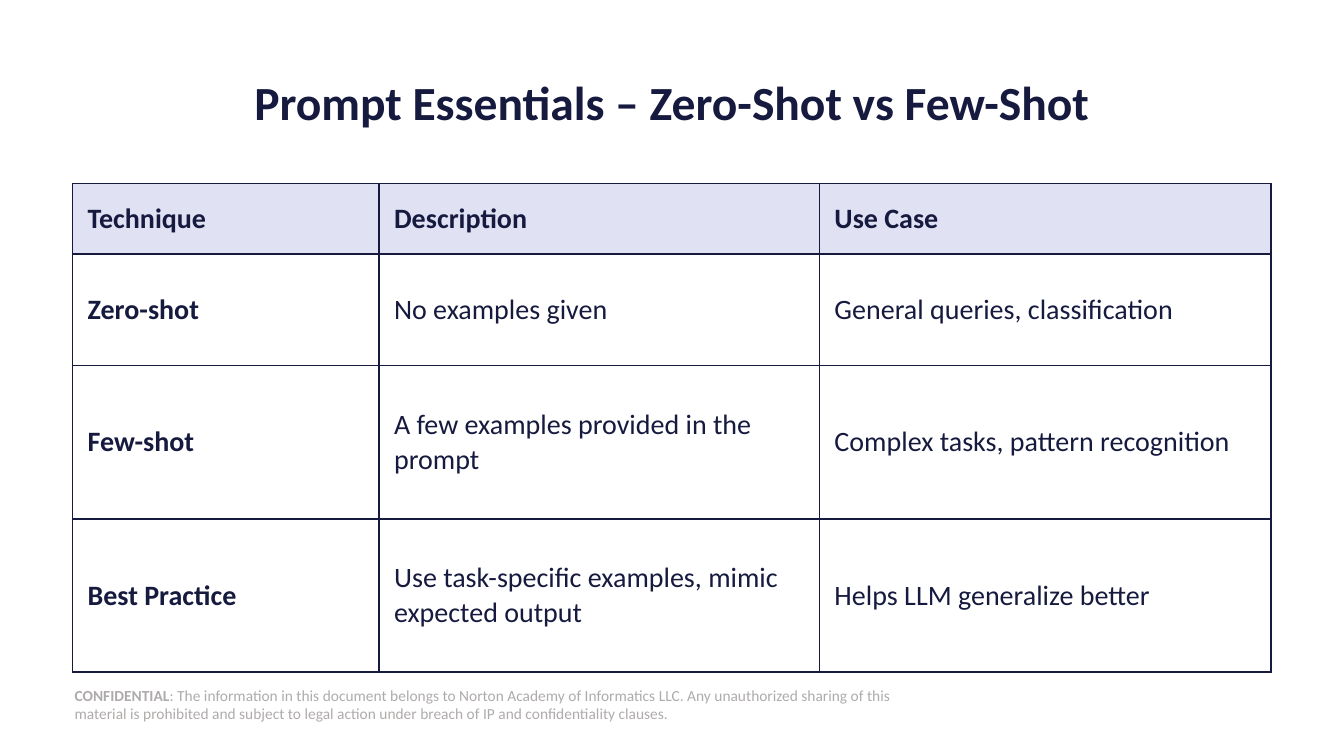
from lxml.etree import SubElement
from pptx import Presentation
from pptx.dml.color import RGBColor
from pptx.enum.shapes import MSO_SHAPE
from pptx.enum.text import MSO_ANCHOR, PP_ALIGN
from pptx.oxml.ns import qn
from pptx.util import Pt

NAVY = RGBColor(0x16, 0x1A, 0x3E)
LAVENDER = RGBColor(0xE0, 0xE2, 0xF4)
GREY = RGBColor(0xAF, 0xAB, 0xAB)
WHITE = RGBColor(0xFF, 0xFF, 0xFF)

COLUMN_WIDTHS = (218.9, 314.6, 322.6)
ROW_HEIGHTS = (50.4, 79.9, 109.4, 109.4)
TECHNIQUES = (
    ("Technique", "Description", "Use Case"),
    ("Zero-shot", "No examples given", "General queries, classification"),
    ("Few-shot", "A few examples provided in the prompt",
     "Complex tasks, pattern recognition"),
    ("Best Practice", "Use task-specific examples, mimic expected output",
     "Helps LLM generalize better"),
)
NOTICE = (
    ("CONFIDENTIAL", True),
    (": The information in this document belongs to Norton Academy of "
     "Informatics LLC. Any unauthorized sharing of this material is prohibited "
     "and subject to legal action under breach of IP and confidentiality "
     "clauses.", False),
)


def style_run(run, size, color, bold):
    """Give a run its font, size, colour and weight."""
    run.font.name = "Calibri"
    run.font.size = Pt(size)
    run.font.bold = bold
    run.font.color.rgb = color


def add_notice(slide, left, top, width, height):
    """Place the confidentiality notice in the given box."""
    notice = slide.shapes.add_shape(
        MSO_SHAPE.RECTANGLE, Pt(left), Pt(top), Pt(width), Pt(height))
    notice.shadow.inherit = False
    notice.fill.solid()
    notice.fill.fore_color.rgb = WHITE
    notice.line.fill.background()
    frame = notice.text_frame
    frame.word_wrap = True
    frame.vertical_anchor = MSO_ANCHOR.MIDDLE
    frame.margin_left = frame.margin_right = Pt(0)
    frame.margin_top = frame.margin_bottom = Pt(0)
    sentence = frame.paragraphs[0]
    sentence.alignment = PP_ALIGN.LEFT
    for words, bold in NOTICE:
        run = sentence.add_run()
        run.text = words
        style_run(run, 11, GREY, bold)


def add_title(slide, left, top, width, height):
    """Place the centred heading at the bottom of the given box."""
    title = slide.shapes.add_textbox(Pt(left), Pt(top), Pt(width), Pt(height))
    frame = title.text_frame
    frame.word_wrap = True
    frame.vertical_anchor = MSO_ANCHOR.BOTTOM
    heading = frame.paragraphs[0]
    heading.text = "Prompt Essentials – Zero-Shot vs Few-Shot"
    heading.alignment = PP_ALIGN.CENTER
    heading.line_spacing = 0.9
    style_run(heading.runs[0], 34, NAVY, True)


def add_borders(cell):
    """Draw a one-point navy line on all four sides of a cell."""
    properties = cell._tc.get_or_add_tcPr()
    for side in ("a:lnL", "a:lnR", "a:lnT", "a:lnB"):
        border = SubElement(properties, qn(side), w=str(Pt(1)))
        paint = SubElement(border, qn("a:solidFill"))
        SubElement(paint, qn("a:srgbClr"), val=str(NAVY))


def fill_cell(cell, words, is_header, bold):
    """Write and format one cell of the comparison."""
    add_borders(cell)
    if is_header:
        cell.fill.solid()
        cell.fill.fore_color.rgb = LAVENDER
    else:
        cell.fill.background()
    cell.vertical_anchor = MSO_ANCHOR.MIDDLE
    cell.margin_left = Pt(10.8)
    cell.margin_right = cell.margin_top = cell.margin_bottom = Pt(8.64)
    cell.text_frame.text = words
    style_run(cell.text_frame.paragraphs[0].runs[0], 20, NAVY, bold)


def add_comparison(slide, left, top):
    """Place the table of techniques with its corner at left, top."""
    comparison = slide.shapes.add_table(
        len(ROW_HEIGHTS), len(COLUMN_WIDTHS), Pt(left), Pt(top),
        Pt(sum(COLUMN_WIDTHS)), Pt(sum(ROW_HEIGHTS))).table
    comparison.horz_banding = False
    for column, width in zip(comparison.columns, COLUMN_WIDTHS):
        column.width = Pt(width)
    for r, (height, entries) in enumerate(zip(ROW_HEIGHTS, TECHNIQUES)):
        comparison.rows[r].height = Pt(height)
        for c, words in enumerate(entries):
            fill_cell(comparison.cell(r, c), words, r == 0, r == 0 or c == 0)


def main():
    """Build the slide and save it."""
    deck = Presentation()
    deck.slide_width, deck.slide_height = Pt(960), Pt(540)
    slide = deck.slides.add_slide(deck.slide_layouts[6])
    add_notice(slide, 53.3, 488.9, 588.2, 28.8)
    add_title(slide, 51.8, 46.1, 856.1, 51.1)
    add_comparison(slide, 51.8, 131)
    deck.save("out.pptx")


if __name__ == "__main__":
    main()
